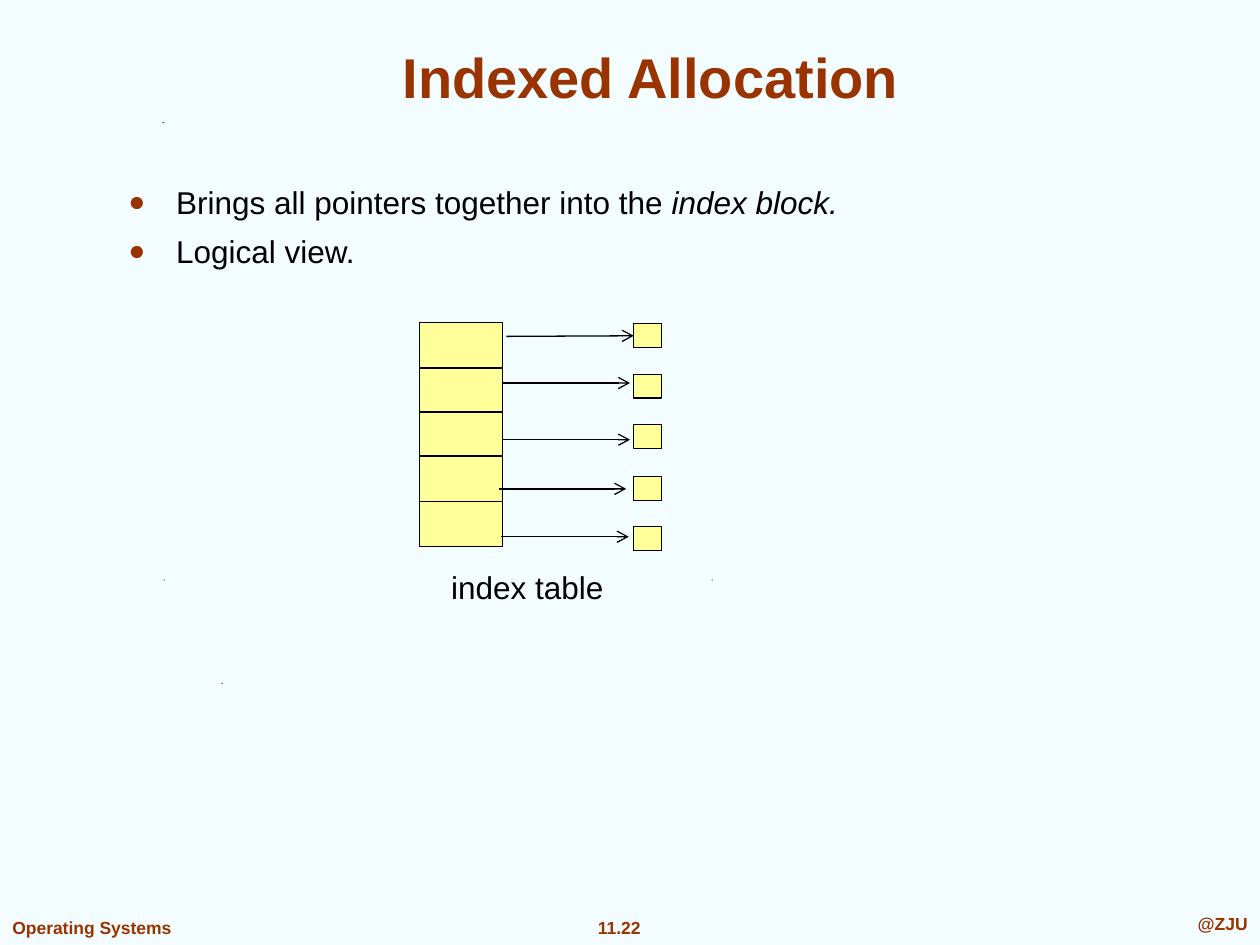
"""Builds the Indexed Allocation slide on a grid of 1000 columns by 750 rows."""
from lxml.etree import SubElement
from pptx import Presentation
from pptx.dml.color import RGBColor
from pptx.enum.shapes import MSO_CONNECTOR as Connector, MSO_SHAPE as Shape
from pptx.enum.text import MSO_ANCHOR as Anchor, PP_ALIGN as Align
from pptx.oxml.ns import qn
from pptx.util import Inches, Pt

BROWN, BLACK, YELLOW, PALE = "993300", "000000", "FFFF99", "F3FCFF"
CELL = Inches(0.01)

deck = Presentation()
deck.slide_width, deck.slide_height = 1000 * CELL, 750 * CELL
page = deck.slides.add_slide(deck.slide_layouts[6])


def paint(fill, colour):
    fill.solid()
    fill.fore_color.rgb = RGBColor.from_string(colour)


def write(text, place, size=18, colour=BLACK, bold=False, align=Align.LEFT,
          anchor=Anchor.TOP, wrap=True, bullet=None):
    box = page.shapes.add_textbox(*[CELL * n for n in place])
    frame = box.text_frame
    frame.word_wrap, frame.vertical_anchor = wrap, anchor
    for number, line in enumerate(text.split("\n")):
        para = frame.paragraphs[0] if number == 0 else frame.add_paragraph()
        para.alignment = align
        if number:
            para.space_before = Pt(6.5)
        if bullet:
            props = para._p.get_or_add_pPr()
            props.set("marL", str(38 * CELL))
            props.set("indent", str(-38 * CELL))
            SubElement(SubElement(props, qn("a:buClr")), qn("a:srgbClr"), val=BROWN)
            SubElement(props, qn("a:buSzPct"), val="90000")
            SubElement(props, qn("a:buFont"), typeface="Arial")
            SubElement(props, qn("a:buChar"), char=bullet)
        for part, piece in enumerate(line.split("*")):
            if piece:
                span = para.add_run()
                span.text = piece
                span.font.name, span.font.size = "Arial", Pt(size)
                span.font.bold, span.font.italic = bold, part % 2 == 1
                paint(span.font.fill, colour)


paint(page.background.fill, PALE)

for left, top in [(176, 542), (130, 460), (565, 460), (129, 97)]:
    outline = page.shapes.build_freeform(left, top + 1, scale=CELL)
    outline.add_line_segments([(left + 1, top), (left, top)], close=True)
    speck = outline.convert_to_shape()
    speck.shadow.inherit = False
    paint(speck.fill, BLACK)
    speck.line.fill.background()

footer = dict(size=10, colour=BROWN, bold=True)
write("11.22", (463, 723, 57, 27), align=Align.CENTER, wrap=False, **footer)
write("@ZJU", (710, 720, 290, 27), align=Align.RIGHT, **footer)
write("Operating Systems", (0, 723, 147, 27), wrap=False, **footer)

write("Indexed Allocation", (75, 25, 883, 67), size=32, colour=BROWN, bold=True,
      align=Align.CENTER, anchor=Anchor.BOTTOM)
write("Brings all pointers together into the *index block.*\nLogical view.",
      (92, 140, 804, 102), bullet="●")

blocks = []
for left, top, pitch, width, height in [(333, 256, 35.5, 66, 36), (503, 257, 40.25, 22, 19)]:
    for row in range(5):
        place = left, top + round(pitch * row), width, height
        block = page.shapes.add_shape(Shape.RECTANGLE, *[CELL * n for n in place])
        block.shadow.inherit = False
        paint(block.fill, YELLOW)
        paint(block.line.fill, BLACK)
        block.line.width = Pt(0.75)
        blocks.append(block)

for row, (start, level) in enumerate([(402, 267), (399, 304), (399, 349), (396, 388), (398, 426)]):
    ends = start, level, start + 101, level
    arrow = page.shapes.add_connector(Connector.STRAIGHT, *[CELL * n for n in ends])
    paint(arrow.line.fill, BLACK)
    arrow.line.width = Pt(0.75)
    SubElement(arrow.line._get_or_add_ln(), qn("a:tailEnd"), type="arrow")
    SubElement(arrow._element.spPr, qn("a:effectLst"))
    if row == 0:
        arrow.end_connect(blocks[5], 1)

write("index table", (348, 446, 141, 40), align=Align.CENTER, anchor=Anchor.MIDDLE, wrap=False)

deck.save("out.pptx")
